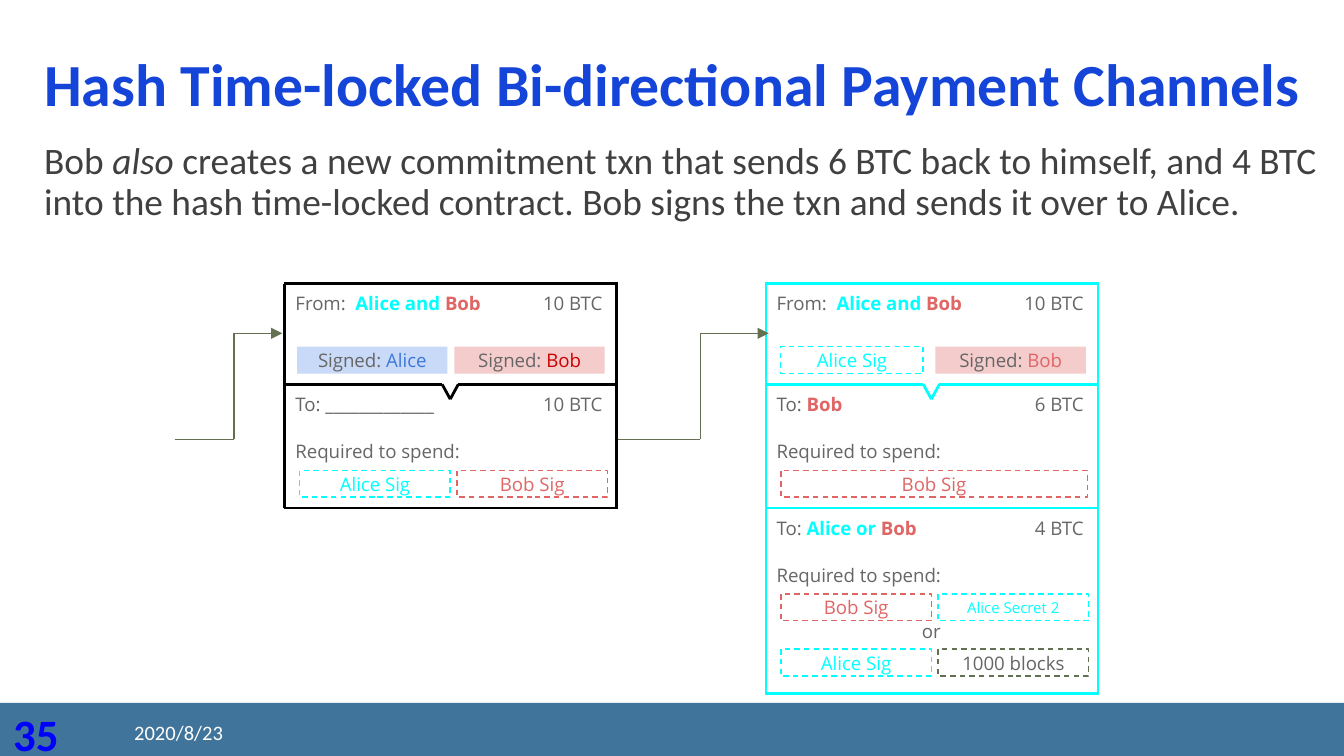
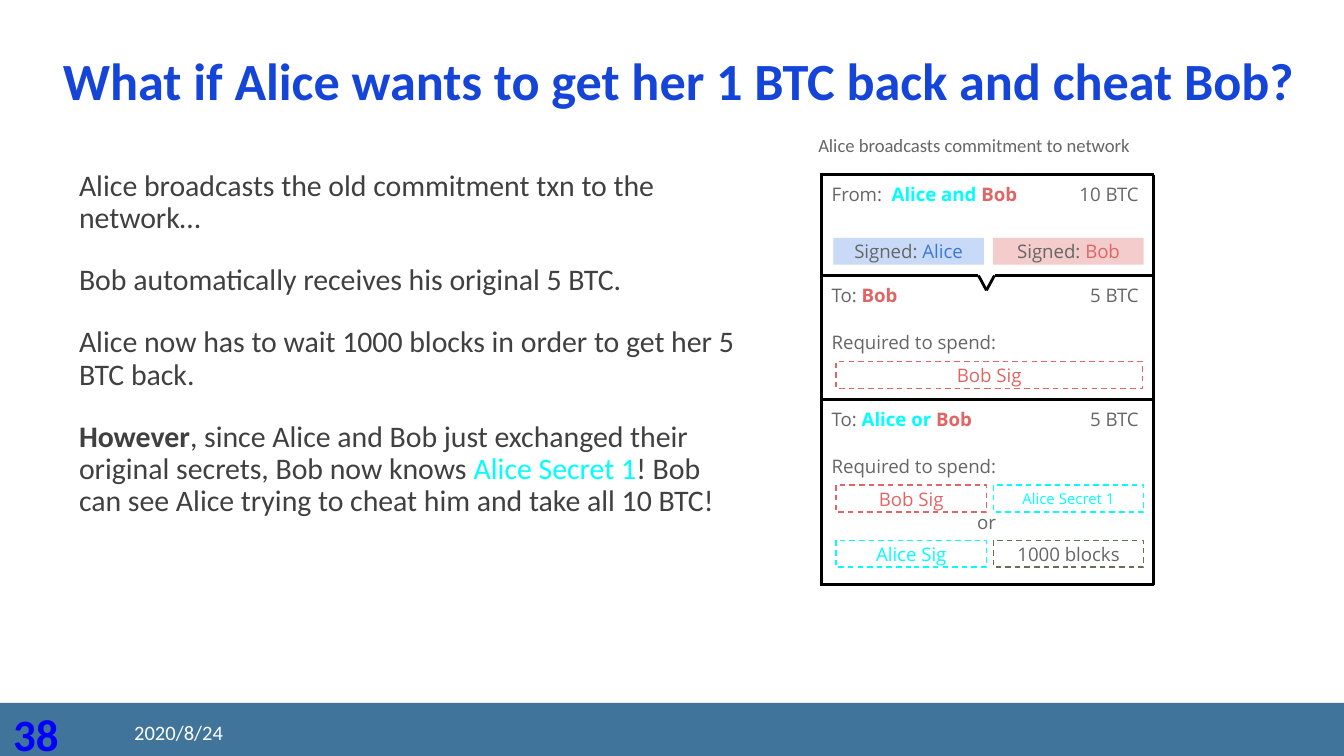
from dataclasses import dataclass
from itertools import pairwise

from pptx import Presentation
from pptx.dml.color import RGBColor
from pptx.enum.dml import MSO_LINE
from pptx.enum.shapes import MSO_CONNECTOR, MSO_SHAPE
from pptx.enum.text import MSO_ANCHOR, PP_ALIGN
from pptx.oxml.ns import qn
from pptx.shapes.autoshape import Shape
from pptx.shapes.connector import Connector
from pptx.slide import Slide
from pptx.util import Inches, Pt
from lxml import etree

DASH = MSO_LINE.DASH
RECT = MSO_SHAPE.RECTANGLE
STRAIGHT = MSO_CONNECTOR.STRAIGHT
TOP, MIDDLE = MSO_ANCHOR.TOP, MSO_ANCHOR.MIDDLE
LEFT, CENTER, RIGHT = PP_ALIGN.LEFT, PP_ALIGN.CENTER, PP_ALIGN.RIGHT

SANS, BODY = "Open Sans", "Calibri"
BLACK, WHITE = "000000", "FFFFFF"
BAND, PAGE, TITLE = "40749B", "0000FF", "1544D9"
GRAY, DARK, OLIVE = "666666", "404040", "637052"
CYAN, ROSE, RED, BLUE = "00FFFF", "E06666", "CC0000", "3C78D8"
PALE_BLUE, PALE_RED = "C9DAF8", "F4CCCC"

WIDTH = 2.5
EDGES = (0.02, 0.77, 1.69, 3.07)
OUT_TOPS = (0.75, 1.67)
COLS = (0.13, 1.3)
SIGN_COLS = (0.11, 1.28)
TAG_W, TAG_H = 1.12, 0.2


@dataclass(frozen=True)
class Run:
    text: str
    hue: str = GRAY
    bold: bool = False
    slant: bool = False
    size: float = 10


@dataclass(frozen=True)
class Box:
    x: float
    y: float
    w: float
    h: float


@dataclass(frozen=True)
class Style:
    font: str = SANS
    align: PP_ALIGN = LEFT
    anchor: MSO_ANCHOR = TOP
    inset: float = 0.12
    pitch: float = 1.0
    gap: float = 0


@dataclass(frozen=True)
class Tag:
    runs: tuple[Run, ...]
    col: float
    w: float = TAG_W
    fill: str = ""
    edge: str = ""


@dataclass(frozen=True)
class Out:
    names: tuple[Run, ...]
    sum: str
    rows: tuple[tuple[Tag, ...], ...]
    w: float = 1.28


@dataclass(frozen=True)
class Card:
    x: float
    y: float
    hue: str
    signs: tuple[Tag, ...]
    outs: tuple[Out, ...]


Lines = tuple[tuple[Run, ...], ...]
PLAIN = Style()
TAG = Style(align=CENTER, anchor=MIDDLE, inset=0.1)
PROSE = Style(BODY, inset=0.1, pitch=0.9, gap=16)


def paint(code: str) -> RGBColor:
    return RGBColor.from_string(code)


def write(shape: Shape, lines: Lines, style: Style) -> None:
    frame = shape.text_frame
    frame.word_wrap = True
    frame.vertical_anchor = style.anchor
    frame.margin_left = frame.margin_right = Inches(0.1)
    frame.margin_top = frame.margin_bottom = Inches(style.inset)
    for index, runs in enumerate(lines):
        para = frame.add_paragraph() if index else frame.paragraphs[0]
        para.alignment = style.align
        para.line_spacing = style.pitch
        if index:
            para.space_before = Pt(style.gap)
        for item in runs:
            run = para.add_run()
            run.text = item.text
            font = run.font
            font.name = style.font
            font.size = Pt(item.size)
            font.bold = item.bold
            font.italic = item.slant
            font.color.rgb = paint(item.hue)


def label(slide: Slide, box: Box, lines: Lines, style: Style = PLAIN) -> None:
    shape = slide.shapes.add_textbox(
        Inches(box.x), Inches(box.y), Inches(box.w), Inches(box.h))
    write(shape, lines, style)


def panel(slide: Slide, box: Box, fill: str = "", edge: str = "") -> Shape:
    shape = slide.shapes.add_shape(
        RECT, Inches(box.x), Inches(box.y), Inches(box.w), Inches(box.h))
    shape.shadow.inherit = False
    if fill:
        shape.fill.solid()
        shape.fill.fore_color.rgb = paint(fill)
    else:
        shape.fill.background()
    if edge:
        shape.line.color.rgb = paint(edge)
        shape.line.width = Pt(0.75)
        shape.line.dash_style = DASH
    else:
        shape.line.fill.background()
    return shape


def stroke(slide: Slide, x1: float, y1: float, x2: float, y2: float,
           hue: str, width: float = 1.5) -> Connector:
    line = slide.shapes.add_connector(
        STRAIGHT, Inches(x1), Inches(y1), Inches(x2), Inches(y2))
    line.line.color.rgb = paint(hue)
    line.line.width = Pt(width)
    etree.SubElement(line._element.spPr, qn("a:effectLst"))
    return line


def link(slide: Slide, start: float, bend: float, end: float) -> None:
    high, low = 2.48, 3.27
    stroke(slide, start, low, bend, low, OLIVE, 0.75)
    stroke(slide, bend, low, bend, high, OLIVE, 0.75)
    arrow = stroke(slide, bend, high, end, high, OLIVE, 0.75)
    tip = etree.SubElement(arrow.line._get_or_add_ln(), qn("a:tailEnd"))
    tip.set("type", "triangle")


def frame(slide: Slide, card: Card) -> None:
    left, right = card.x + 0.01, card.x + WIDTH
    edges = [card.y + edge for edge in EDGES[:len(card.outs) + 2]]
    mid, low = card.x + 1.25, edges[1] + 0.11
    for upper, lower in pairwise(edges):
        for side in (left + 0.01, right - 0.01):
            stroke(slide, side, upper, side, lower, card.hue)
    for edge in edges[:1] + edges[2:]:
        stroke(slide, left, edge, right, edge, card.hue)
    for side, near in ((left, mid - 0.06), (right, mid + 0.06)):
        stroke(slide, side, edges[1], near, edges[1], card.hue)
        stroke(slide, near, edges[1], mid, low, card.hue)


def head(slide: Slide, x: float, y: float, names: tuple[Run, ...],
         sum: str, w: float) -> None:
    label(slide, Box(x, y, w, 0.39), (names,))
    label(slide, Box(x + 1.33, y, 1.15, 0.39), ((Run(sum),),),
          Style(align=RIGHT))


def stamp(slide: Slide, x: float, y: float, tags: tuple[Tag, ...]) -> None:
    for tag in tags:
        box = Box(x + tag.col, y, tag.w, TAG_H)
        write(panel(slide, box, tag.fill, tag.edge), (tag.runs,), TAG)


def draw(slide: Slide, card: Card) -> None:
    frame(slide, card)
    x, y = card.x, card.y
    head(slide, x, y, (Run("From:  "), Run("Alice and ", CYAN, True),
                       Run("Bob", ROSE, True)), "10 BTC", 1.62)
    stamp(slide, x, y + 0.49, card.signs)
    for top, out in zip(OUT_TOPS, card.outs):
        base = y + top
        head(slide, x, base, out.names, out.sum, out.w)
        label(slide, Box(x, base + 0.35, 1.9, 0.38),
              ((Run("Required to spend:"),),))
        for index, row in enumerate(out.rows):
            stamp(slide, x, base + 0.66 + 0.41 * index, row)
        if len(out.rows) > 1:
            label(slide, Box(x, base + 0.77, WIDTH, 0.38),
                  ((Run("or"),),), Style(align=CENTER))


def sign(name: str, hue: str, fill: str, col: float) -> Tag:
    return Tag((Run("Signed: "), Run(name, hue)), col, fill=fill)


def need(text: str, hue: str, col: float, w: float = TAG_W,
         size: float = 10, edge: str = "") -> Tag:
    return Tag((Run(text, hue, size=size),), col, w, edge=edge or hue)


def split(sum: str, share: str, secret: str) -> tuple[Out, ...]:
    left, right = COLS
    return (
        Out((Run("To: "), Run("Bob", ROSE, True)), sum,
            ((need("Bob Sig", ROSE, left, 2.28),),)),
        Out((Run("To: "), Run("Alice or ", CYAN, True),
             Run("Bob", ROSE, True)), share,
            ((need("Bob Sig", ROSE, left),
              need(secret, CYAN, right, size=8)),
             (need("Alice Sig", CYAN, left),
              need("1000 blocks", GRAY, right, edge=OLIVE))), 1.52),
    )


def start(deck: Presentation, title: str, size: float, x: float,
          page: str, date: str) -> Slide:
    slide = deck.slides.add_slide(deck.slide_layouts[6])
    panel(slide, Box(0, 5.23, 10, 0.41), BAND)
    label(slide, Box(0, 5.21, 0.69, 0.4),
          ((Run(page, PAGE, True, size=24),),), Style(BODY, inset=0.05))
    label(slide, Box(0.9, 5.3, 2.03, 0.3), ((Run(date, WHITE, size=11),),),
          Style(BODY, anchor=MIDDLE, inset=0.05))
    label(slide, Box(x, 0.31, 9.88 - x, 0.65),
          ((Run(title, TITLE, True, size=size),),), PROSE)
    return slide


def lock(deck: Presentation) -> None:
    slide = start(deck, "Hash Time-locked Bi-directional Payment Channels",
                  32, 0.23, "35", "2020/8/23")
    label(slide, Box(0.23, 0.96, 9.71, 0.81), ((
        Run("Bob ", DARK, size=20),
        Run("also", DARK, slant=True, size=20),
        Run(" creates a new commitment txn that sends 6 BTC back to himself, "
            "and 4 BTC into the hash time-locked contract. Bob signs the txn "
            "and sends it over to Alice.", DARK, size=20)),), PROSE)
    first, second = SIGN_COLS
    draw(slide, Card(2.1, 2.09, BLACK, (
        sign("Alice", BLUE, PALE_BLUE, first),
        sign("Bob", RED, PALE_RED, second),
    ), (Out((Run("To: _____________"),), "10 BTC",
            ((need("Alice Sig", CYAN, COLS[0]),
              need("Bob Sig", ROSE, COLS[1])),)),)))
    draw(slide, Card(5.68, 2.09, CYAN, (
        need("Alice Sig", CYAN, COLS[0], 1.06),
        sign("Bob", ROSE, PALE_RED, second),
    ), split("6 BTC", "4 BTC", "Alice Secret 2")))
    link(slide, 1.3, 1.74, 2.1)
    link(slide, 4.6, 5.21, 5.72)


def cheat(deck: Presentation) -> None:
    slide = start(deck,
                  "What if Alice wants to get her 1 BTC back and cheat Bob?",
                  28, 0.37, "38", "2020/8/24")
    label(slide, Box(0.49, 1.17, 5.16, 3.18), (
        (Run("Alice broadcasts the old commitment txn to the network…",
             DARK, size=16),),
        (Run("Bob automatically receives his original 5 BTC.",
             DARK, size=16),),
        (Run("Alice now has to wait 1000 blocks in order to get her 5 BTC "
             "back.", DARK, size=16),),
        (Run("However", DARK, True, size=16),
         Run(", since Alice and Bob just exchanged their original secrets, "
             "Bob now knows ", DARK, size=16),
         Run("Alice Secret 1", CYAN, size=16),
         Run("! Bob can see Alice trying to cheat him and take all 10 BTC!",
             DARK, size=16)),
    ), PROSE)
    label(slide, Box(5.99, 0.91, 3.74, 0.51),
          ((Run("Alice broadcasts commitment to network"),),), Style(BODY))
    draw(slide, Card(6.09, 1.28, BLACK, (
        sign("Alice", BLUE, PALE_BLUE, SIGN_COLS[0]),
        sign("Bob", ROSE, PALE_RED, COLS[1]),
    ), split("5 BTC", "5 BTC", "Alice Secret 1")))


def main() -> None:
    deck = Presentation()
    deck.slide_width = Inches(10)
    deck.slide_height = Inches(10 * 9 / 16)
    lock(deck)
    cheat(deck)
    deck.save("out.pptx")


if __name__ == "__main__":
    main()
